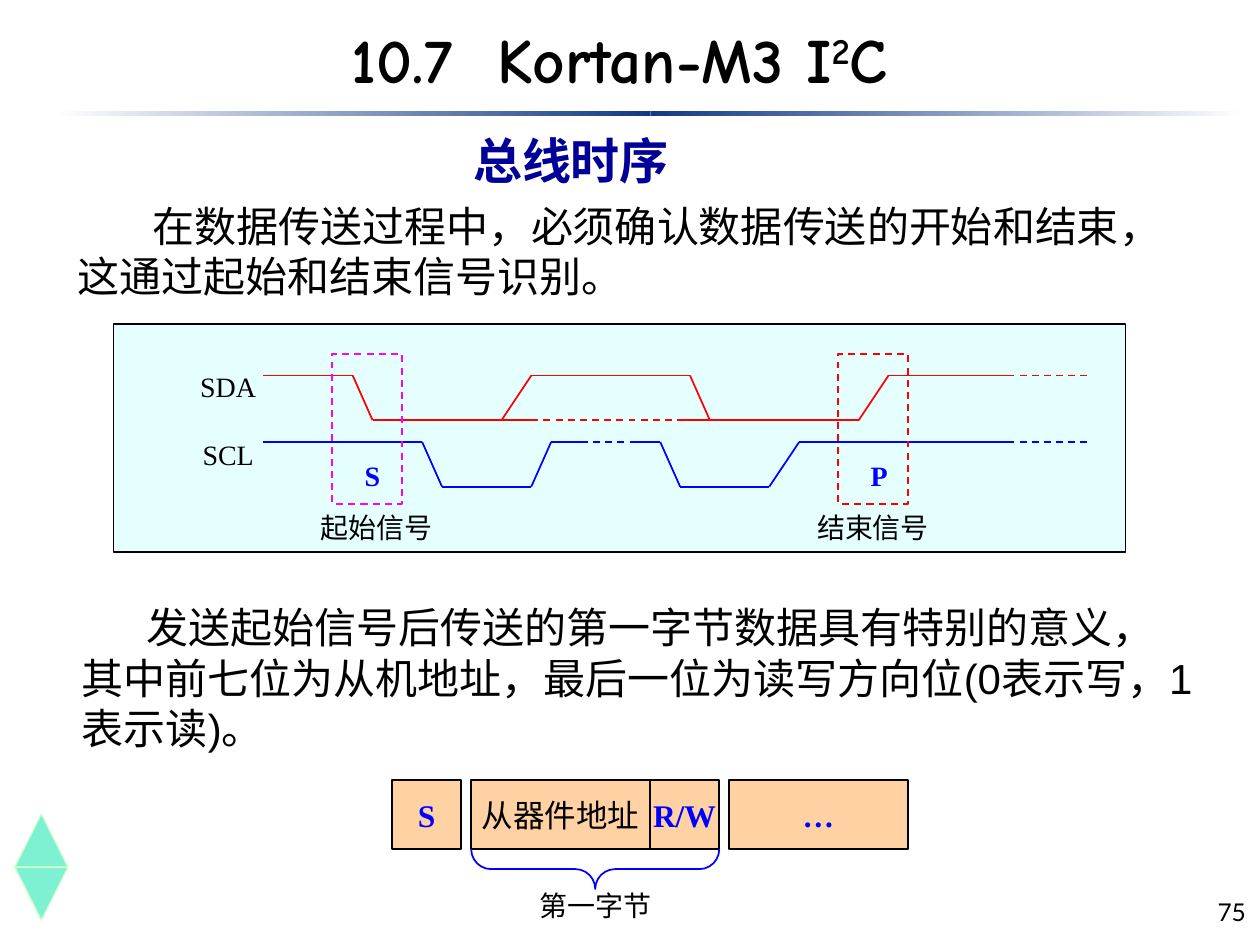
from itertools import pairwise

from lxml import etree
from pptx import Presentation
from pptx import util as u
from pptx.dml.color import RGBColor
from pptx.enum import dml, shapes, text
from pptx.oxml.ns import qn

COLORS = {
    "black": "000000", "white": "FFFFFF", "rule": "133984", "heading": "000099",
    "blue": "0000FF", "red": "FF0000", "magenta": "FF00FF", "panel": "CCFFFF",
    "byte": "FFCC99", "marker": "00E4A8", "marker_edge": "CCFFCC",
}
SERIF = "Times New Roman"
LEFT, CENTER, RIGHT = text.PP_ALIGN.LEFT, text.PP_ALIGN.CENTER, text.PP_ALIGN.RIGHT
TOP, MIDDLE, BOTTOM = text.MSO_ANCHOR.TOP, text.MSO_ANCHOR.MIDDLE, text.MSO_ANCHOR.BOTTOM

WAVE_LEFT, SWING = 5.31, 0.9  # cm: where both signals start, and their height
# Each trace lists (distance from the start in cm, level) with level 1 for high
SDA = {
    "solid": [
        [(0, 1), (1.8, 1), (2.2, 0), (5.4, 0)],
        [(4.8, 0), (5.4, 1), (8.6, 1), (9, 0)],
        [(8.4, 0), (12, 0), (12.6, 1), (15, 1)],
    ],
    "dashed": [[(5.4, 0), (8.6, 0)], [(15, 1), (16.6, 1)]],
}
SCL = {
    "solid": [
        [(0, 1), (3.2, 1), (3.6, 0), (5.4, 0), (5.8, 1), (6.4, 1)],
        [(7.4, 1), (8, 1), (8.4, 0), (10.2, 0), (10.8, 1), (15, 1)],
    ],
    "dashed": [[(6.4, 1), (7.4, 1)], [(15, 1), (16.6, 1)]],
}


def rgb(name):
    return RGBColor.from_string(COLORS[name])


def cm(*lengths):
    return [u.Cm(length) for length in lengths]


def style_line(line, color, width=1, dashed=False):
    line.color.rgb = rgb(color)
    line.width = u.Pt(width)
    if dashed:
        line.dash_style = dml.MSO_LINE.DASH


def add_outline(slide, kind, box, line, fill=None, opacity=100, width=1, dashed=False):
    """Add a preset shape; box is left, top, width, height in cm."""
    shape = slide.shapes.add_shape(kind, *cm(*box))
    shape.shadow.inherit = False
    style_line(shape.line, line, width, dashed)
    if fill:
        shape.fill.solid()
        shape.fill.fore_color.rgb = rgb(fill)
        color = shape.fill._xPr.find(qn("a:solidFill"))[0]
        etree.SubElement(color, qn("a:alpha"), val=str(opacity * 1000))
    else:
        shape.fill.background()
    return shape


def write(shape, words, size, font=SERIF, color="black", bold=False,
          align=CENTER, anchor=TOP, wrap=True, indent=None):
    """Fill a shape with one paragraph; words is a list of (text, baseline)."""
    frame = shape.text_frame
    frame.word_wrap = wrap
    frame.auto_size = text.MSO_AUTO_SIZE.NONE
    frame.vertical_anchor = anchor
    paragraph = frame.paragraphs[0]
    paragraph.alignment = align
    paragraph.space_before = u.Pt(0)
    if indent is not None:
        properties = paragraph._p.get_or_add_pPr()
        properties.set("marL", "0")
        properties.set("indent", str(u.Cm(indent)))
        etree.SubElement(properties, qn("a:buNone"))
    for part, baseline in words:
        run = paragraph.add_run()
        run.text = part
        run.font.name, run.font.size, run.font.bold = font, u.Pt(size), bold
        run.font.color.rgb = rgb(color)
        if baseline:
            run.font._element.set("baseline", str(baseline * 1000))


def add_label(slide, words, box, size=16, **look):
    write(slide.shapes.add_textbox(*cm(*box)), [(words, 0)], size, **look)


def fill_placeholder(holder, box, words, size, **look):
    holder.left, holder.top, holder.width, holder.height = cm(*box)
    write(holder, words, size, anchor=MIDDLE, **look)


def add_rule(slide):
    """Draw the rule under the title, fading out towards both ends."""
    for left, ends in ((1.12, ("white", "rule")), (13.11, ("rule", "white"))):
        half = slide.shapes.add_shape(shapes.MSO_SHAPE.RECTANGLE, *cm(left, 2.24, 11.99, 0.1))
        half.shadow.inherit = False
        half.line.fill.background()
        half.fill.gradient()
        half.fill.gradient_angle = 0
        for stop, color in zip(half.fill.gradient_stops, ends):
            stop.color.rgb = rgb(color)


def add_page_markers(slide):
    for top, rotation in ((16.41, 0), (17.48, 180)):
        marker = add_outline(slide, shapes.MSO_SHAPE.ISOSCELES_TRIANGLE, (0.3, top, 1.07, 1.07),
                             "marker_edge", "marker", 50, 0.75)
        marker.rotation = rotation


def add_trace(slide, trace, high, color):
    """Draw one signal, its high level lying at the given height in cm."""
    for style, paths in trace.items():
        for path in paths:
            points = [(WAVE_LEFT + x, high + SWING * (1 - level)) for x, level in path]
            for start, end in pairwise(points):
                edge = slide.shapes.add_connector(
                    shapes.MSO_CONNECTOR.STRAIGHT, *cm(*start, *end))
                style_line(edge.line, color, dashed=style == "dashed")
                etree.SubElement(edge._element.spPr, qn("a:effectLst"))


def add_timing_diagram(slide):
    rectangle = shapes.MSO_SHAPE.RECTANGLE
    add_outline(slide, rectangle, (2.29, 6.53, 20.4, 4.6), "black", "panel", 50)
    for name, trace, high, color, label_top in (
            ("SDA", SDA, 7.57, "red", 7.32), ("SCL", SCL, 8.91, "blue", 8.69)):
        add_trace(slide, trace, high, color)
        add_label(slide, name, (3.1, label_top, 3, 0.94))
    for left, letter, caption, color, caption_left in (
            (6.7, "S", "起始信号", "magenta", 5.89), (16.9, "P", "结束信号", "red", 16.1)):
        add_outline(slide, rectangle, (left, 7.14, 1.4, 3.02), color, dashed=True)
        add_label(slide, letter, (left + 0.4, 9.12, 0.6, 0.94), color="blue", bold=True)
        caption_width = 3.4 if letter == "S" else 3
        add_label(slide, caption, (caption_left, 10.16, caption_width, 0.94))


def add_first_byte(slide):
    top, height = 15.72, 1.4
    for left, width, words, color in (
            (7.9, 1.4, "S", "blue"), (9.5, 3.6, "从器件地址", "black"),
            (13.1, 1.4, "R/W", "blue"), (14.7, 3.6, "…", "blue")):
        field = add_outline(slide, shapes.MSO_SHAPE.RECTANGLE, (left, top, width, height),
                            "black", "byte", 90)
        write(field, [(words, 0)], 18, color=color, bold=color == "blue",
              anchor=MIDDLE, wrap=False)
    # Turned a quarter, so the span is its height and the depth its width
    depth, span, middle = 0.8, 5, 12
    brace = add_outline(slide, shapes.MSO_SHAPE.LEFT_BRACE,
                        (middle - depth / 2, top + height + depth / 2 - span / 2, depth, span),
                        "blue")
    brace.adjustments[0] = 0.5
    brace.rotation = 270
    add_label(slide, "第一字节", (10.3, 17.78, 3.4, 0.94))


def main():
    deck = Presentation()
    deck.slide_width, deck.slide_height = cm(25.4, 19.05)
    slide = deck.slides.add_slide(deck.slide_layouts[1])
    title, body = slide.placeholders
    add_rule(slide)
    add_page_markers(slide)
    fill_placeholder(title, (4.29, 0.41, 16.41, 1.52),
                     [("10.7  Kortan-M3 I", 0), ("2", 30), ("C", 0)], 36,
                     font="Comic Neue", bold=True)
    add_label(slide, "总线时序", (8.31, 2.49, 6.4, 1.45), 28, font="Arial",
              color="heading", bold=True, anchor=MIDDLE)
    fill_placeholder(body, (1.3, 3.91, 22.91, 2.29),
                     [("在数据传送过程中，必须确认数据传送的开始和结束，这通过起始和结束信号识别。", 0)],
                     24, font="Arial", align=LEFT, indent=1.53)
    add_timing_diagram(slide)
    add_label(slide, "发送起始信号后传送的第一字节数据具有特别的意义，其中前七位为从机地址，"
              "最后一位为读写方向位(0表示写，1表示读)。", (1.4, 12.01, 22.91, 3.3), 24,
              font="Arial", align=LEFT, anchor=MIDDLE, indent=1.31)
    add_first_byte(slide)
    add_label(slide, "75", (20.09, 17.53, 5.28, 1.27), 14, font="Lato",
              align=RIGHT, anchor=BOTTOM)
    deck.save("out.pptx")


if __name__ == "__main__":
    main()
